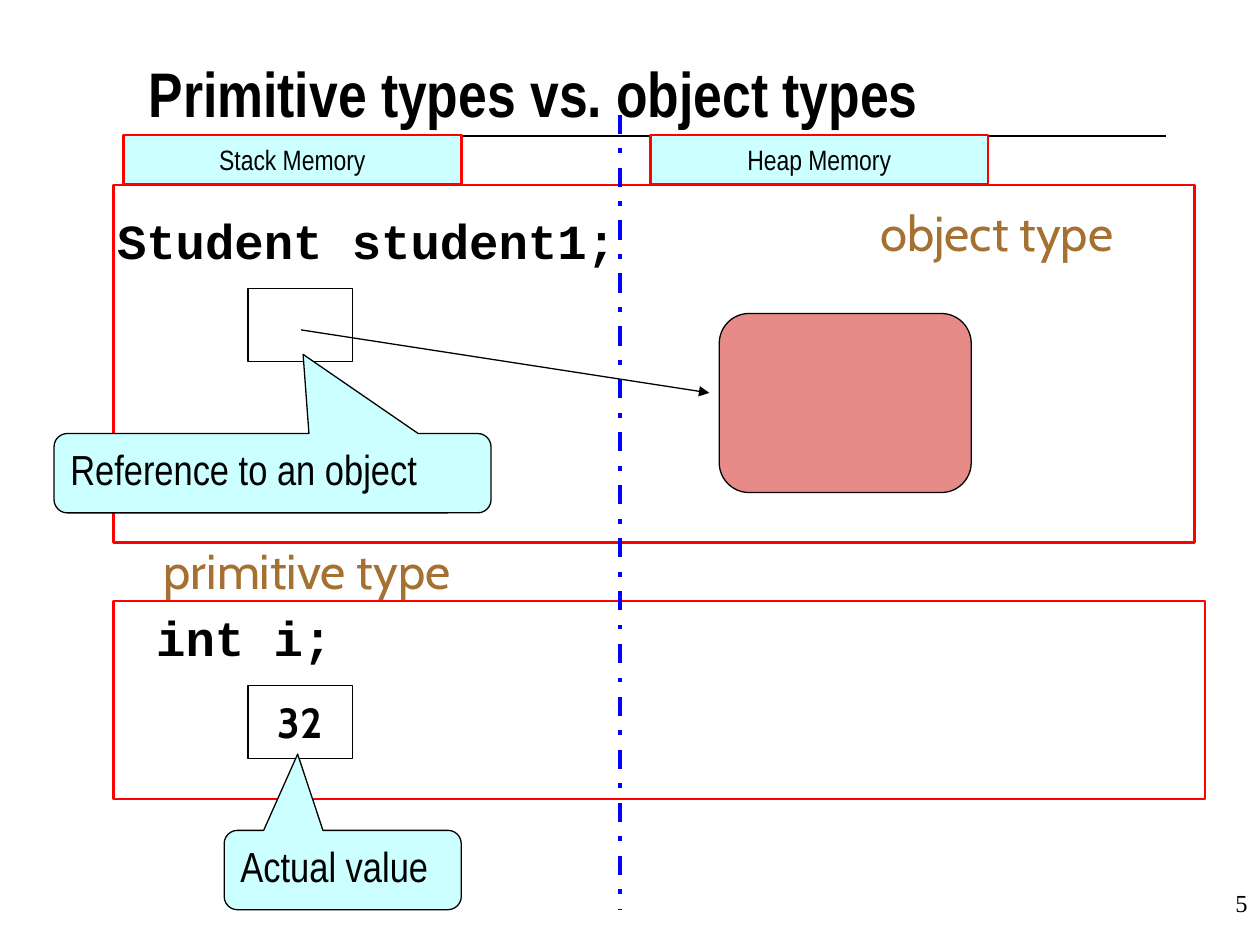
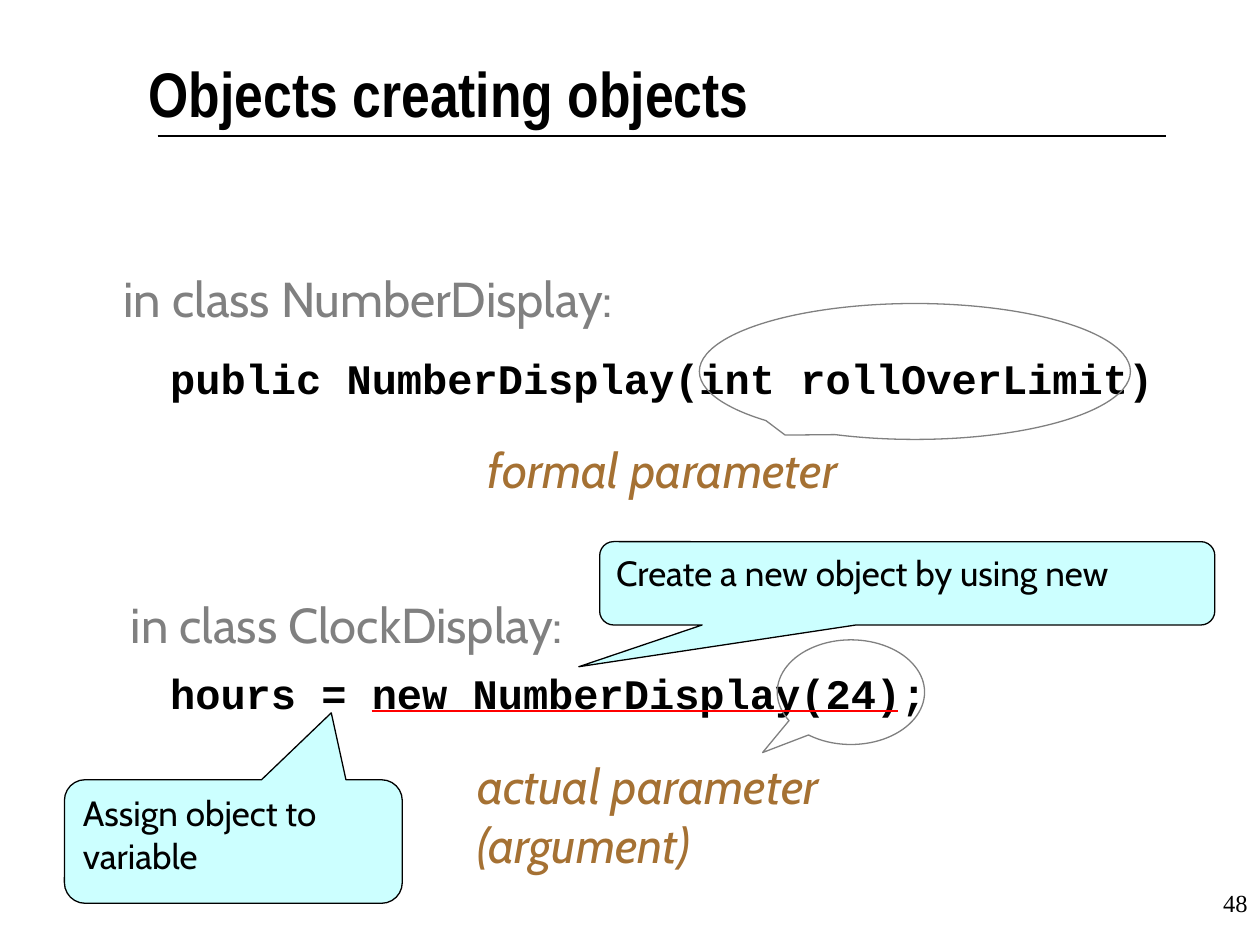
from lxml import etree
from pptx import Presentation
from pptx.dml.color import RGBColor
from pptx.enum.dml import MSO_LINE
from pptx.enum.shapes import MSO_CONNECTOR, MSO_SHAPE
from pptx.enum.text import MSO_ANCHOR, MSO_AUTO_SIZE, PP_ALIGN
from pptx.oxml.ns import qn
from pptx.util import Cm, Pt

RECT = MSO_SHAPE.RECTANGLE
ROUNDED = MSO_SHAPE.ROUNDED_RECTANGLE
ROUND_CALLOUT = MSO_SHAPE.ROUNDED_RECTANGULAR_CALLOUT
ELLIPSE_CALLOUT = MSO_SHAPE.OVAL_CALLOUT
STRAIGHT = MSO_CONNECTOR.STRAIGHT
DASH_DOT = MSO_LINE.DASH_DOT
LEFT, CENTER, RIGHT = PP_ALIGN.LEFT, PP_ALIGN.CENTER, PP_ALIGN.RIGHT
TOP, MIDDLE = MSO_ANCHOR.TOP, MSO_ANCHOR.MIDDLE
GROW = MSO_AUTO_SIZE.SHAPE_TO_FIT_TEXT

COLORS = {
    "ink": "000000",
    "frame": "FF0000",
    "divider": "0000FF",
    "note": "CCFFFF",
    "object": "E68B88",
    "label": "A57133",
    "muted": "808080",
}
NARROW, CABIN, CODE, SERIF = "Arial Narrow", "Cabin", "Courier New", "Times New Roman"

CELL = (2.11, 1.47)
TAB = (6.81, 0.99)
LINE_HEIGHT = 1.45


def rgb(name):
    return RGBColor.from_string(COLORS[name])


def within(box, left, top, *size):
    """Shift a position given relative to a region onto the slide."""
    return (box[0] + left, box[1] + top, *size)


def write(frame, text, font=CABIN, size=28, color="ink", bold=False, italic=False,
          align=LEFT, anchor=TOP, wrap=True, before=0, spacing=None):
    frame.word_wrap = wrap
    frame.vertical_anchor = anchor
    paragraph = frame.paragraphs[0]
    paragraph.text = text
    paragraph.alignment = align
    paragraph.space_before = Pt(before)
    if spacing:
        paragraph.line_spacing = spacing
    for run in paragraph.runs:
        run.font.name = font
        run.font.size = Pt(size)
        run.font.bold = bold
        run.font.italic = italic
        run.font.color.rgb = rgb(color)


def add_text(slide, box, text, grow=True, margins=True, **style):
    frame = slide.shapes.add_textbox(*map(Cm, box)).text_frame
    if grow:
        frame.auto_size = GROW
    if not margins:
        frame.margin_left = frame.margin_right = 0
        frame.margin_top = frame.margin_bottom = 0
    write(frame, text, **style)


def add_code(slide, box, text, size):
    add_text(slide, box, text, font=CODE, size=size, bold=True, before=size * 0.2)


def add_shape(slide, kind, box, fill=None, line="ink", width=0.75, adjust=(),
              text=None, **style):
    shape = slide.shapes.add_shape(kind, *map(Cm, box))
    shape.shadow.inherit = False
    if fill:
        shape.fill.solid()
        shape.fill.fore_color.rgb = rgb(fill)
    else:
        shape.fill.background()
    shape.line.color.rgb = rgb(line)
    shape.line.width = Pt(width)
    for index, value in enumerate(adjust):
        shape.adjustments[index] = value
    if text:
        write(shape.text_frame, text, **style)


def add_note(slide, box, pointer, text, **style):
    add_shape(slide, ROUND_CALLOUT, box, fill="note", adjust=(*pointer, 0.167),
              text=text, **style)


def add_line(slide, start, end, color="ink", width=0.75, dash=None, arrow=False):
    line = slide.shapes.add_connector(STRAIGHT, *map(Cm, (*start, *end)))
    line.line.color.rgb = rgb(color)
    line.line.width = Pt(width)
    if dash:
        line.line.dash_style = dash
    if arrow:
        outline = line.line._get_or_add_ln()
        etree.SubElement(outline, qn("a:tailEnd"), type="triangle")
    etree.SubElement(line._element.spPr, qn("a:effectLst"))


def start_slide(deck, title, number):
    """Blank slide with the shared rule, page number and title."""
    slide = deck.slides.add_slide(deck.slide_layouts[6])
    add_line(slide, (3.18, 2.74), (23.5, 2.74))
    add_text(slide, (20.12, 17.78, 5.28, 1.27), str(number), grow=False,
             font=SERIF, size=14, align=RIGHT)
    add_text(slide, (3, 1, 19.43, 1.9), title, grow=False, margins=False,
             font=NARROW, size=36, bold=True, anchor=MIDDLE, spacing=0.9)
    return slide


# Slide: primitive types and object types in memory

def memory_panel(slide, box, code, code_at, label, label_box, cell_top, value=None):
    """Red frame with a declaration, its type label and the variable's cell."""
    add_shape(slide, RECT, within(box, 2.71, cell_top, *CELL), text=value,
              size=24, bold=True, align=CENTER, anchor=MIDDLE, wrap=False)
    add_text(slide, within(box, *label_box, LINE_HEIGHT), label,
             color="label", wrap=False)
    add_code(slide, within(box, *code_at, 10.59, LINE_HEIGHT), code, 28)
    add_shape(slide, RECT, box, line="frame", width=1.5)


def object_panel(slide, box):
    memory_panel(slide, box, "Student student1;", (-0.18, 0.38),
                 "object type", (15.21, 0.23, 5.61), 2.09)
    # Heap object and the reference to it
    add_shape(slide, ROUNDED, within(box, 12.21, 2.59, 5.08, 3.61), fill="object",
              adjust=(0.167,))
    add_line(slide, within(box, 3.78, 2.92), within(box, 12.01, 4.19), arrow=True)
    add_note(slide, within(box, -1.2, 5.01, 8.81, 1.6), (0.07, -1.497),
             "Reference to an object", font=NARROW, size=24)


def primitive_panel(slide, box):
    memory_panel(slide, box, "int i;", (0.61, 0),
                 "primitive type", (0.76, -1.35, 6.88), 1.7, "32")
    add_note(slide, within(box, 2.23, 4.62, 4.78, 1.6), (-0.19, -1.461),
             "Actual value", font=NARROW, size=24)


def memory_slide(deck):
    slide = start_slide(deck, "Primitive types vs. object types", 5)
    objects = (2.29, 3.73, 21.79, 7.21)
    object_panel(slide, objects)
    primitive_panel(slide, (2.29, 12.12, 22, 3.99))
    # Border between stack and heap
    add_line(slide, (12.5, 2.31), (12.5, 18.34), color="divider", width=2.75,
             dash=DASH_DOT)
    for left, memory in ((0.2, "Stack Memory"), (10.82, "Heap Memory")):
        add_shape(slide, RECT, within(objects, left, -1.01, *TAB), fill="note",
                  line="frame", width=1.5, text=memory, font=NARROW, size=16,
                  align=CENTER, anchor=MIDDLE, wrap=False)


# Slide: objects creating objects

def parameter_example(slide, box, heading, code, code_box, ring, pointer,
                      caption, caption_box):
    """Class heading, a code line, a ring round its parameter and a caption."""
    add_text(slide, box, heading, color="muted", wrap=False)
    add_code(slide, within(box, *code_box), code, 24)
    add_shape(slide, ELLIPSE_CALLOUT, within(box, *ring), line="muted", adjust=pointer)
    add_text(slide, within(box, *caption_box), caption, color="label",
             italic=True, wrap=False)


def formal_example(slide, box):
    parameter_example(
        slide, box, "in class NumberDisplay:",
        "public NumberDisplay(int rollOverLimit)", (0.94, 1.71, 21.39, 2.29),
        (11.86, 0.84, 8.69, 2.74), (-0.301, 0.468),
        "formal parameter", (7.34, 3.46, 8.36, LINE_HEIGHT))


def actual_example(slide, box):
    parameter_example(
        slide, box, "in class ClockDisplay:",
        "hours = new NumberDisplay(24);", (0.79, 1.48, 19.05, 1.27),
        (13.28, 1.04, 2.97, 2.11), (-0.6, 0.577),
        "actual parameter\n(argument)", (6.98, 3.25, 8.13, 2.64))
    # Notes on the constructor call
    add_note(slide, within(box, 9.7, -0.94, 12.4, 1.68), (-0.534, 1.001),
             "Create a new object by using new", size=20)
    add_line(slide, within(box, 5.1, 2.47), within(box, 15.72, 2.47),
             color="frame", width=1.5)
    add_note(slide, within(box, -1.09, 3.86, 6.81, 2.49), (0.29, -1.042),
             "Assign object to variable", size=20)


def creation_slide(deck):
    slide = start_slide(deck, "Objects creating objects", 48)
    formal_example(slide, (2.24, 5.28, 11.58, LINE_HEIGHT))
    actual_example(slide, (2.39, 11.86, 10.21, LINE_HEIGHT))


def main():
    deck = Presentation()
    deck.slide_width, deck.slide_height = Cm(25.4), Cm(19.05)
    memory_slide(deck)
    creation_slide(deck)
    deck.save("out.pptx")


if __name__ == "__main__":
    main()
